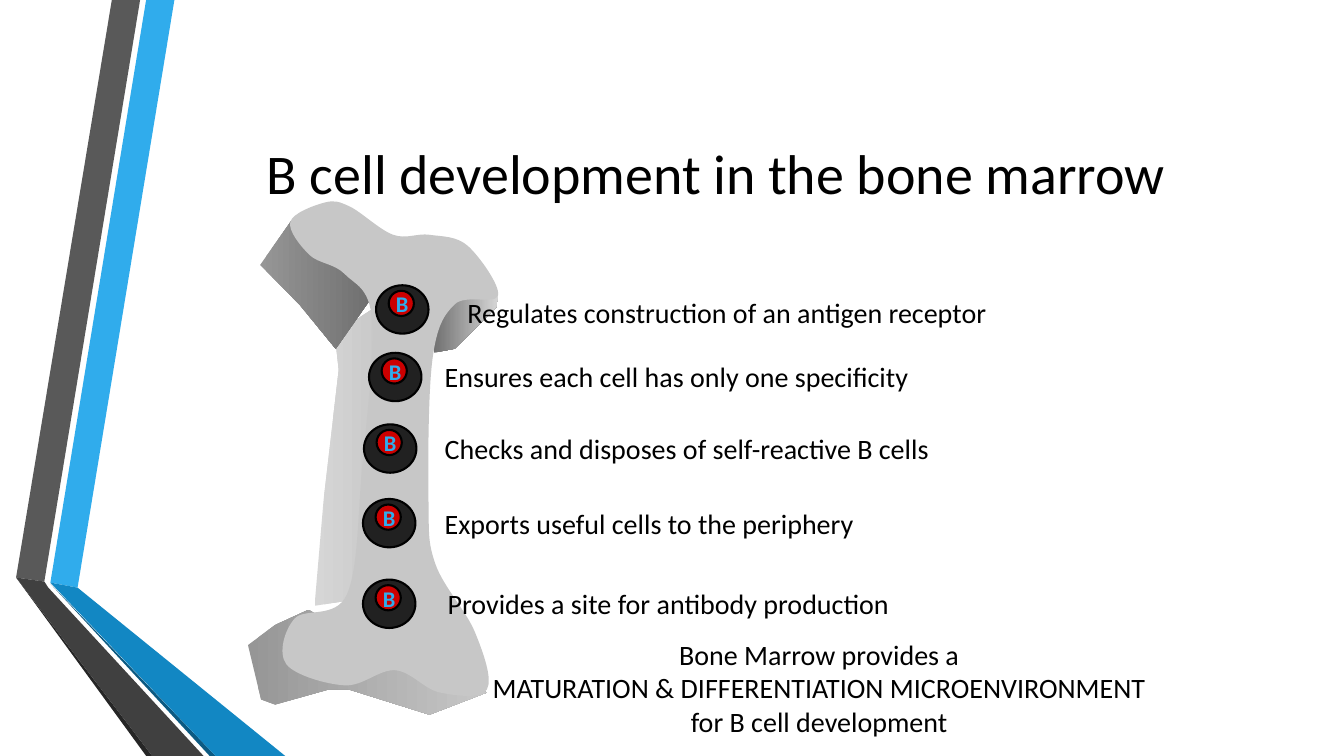
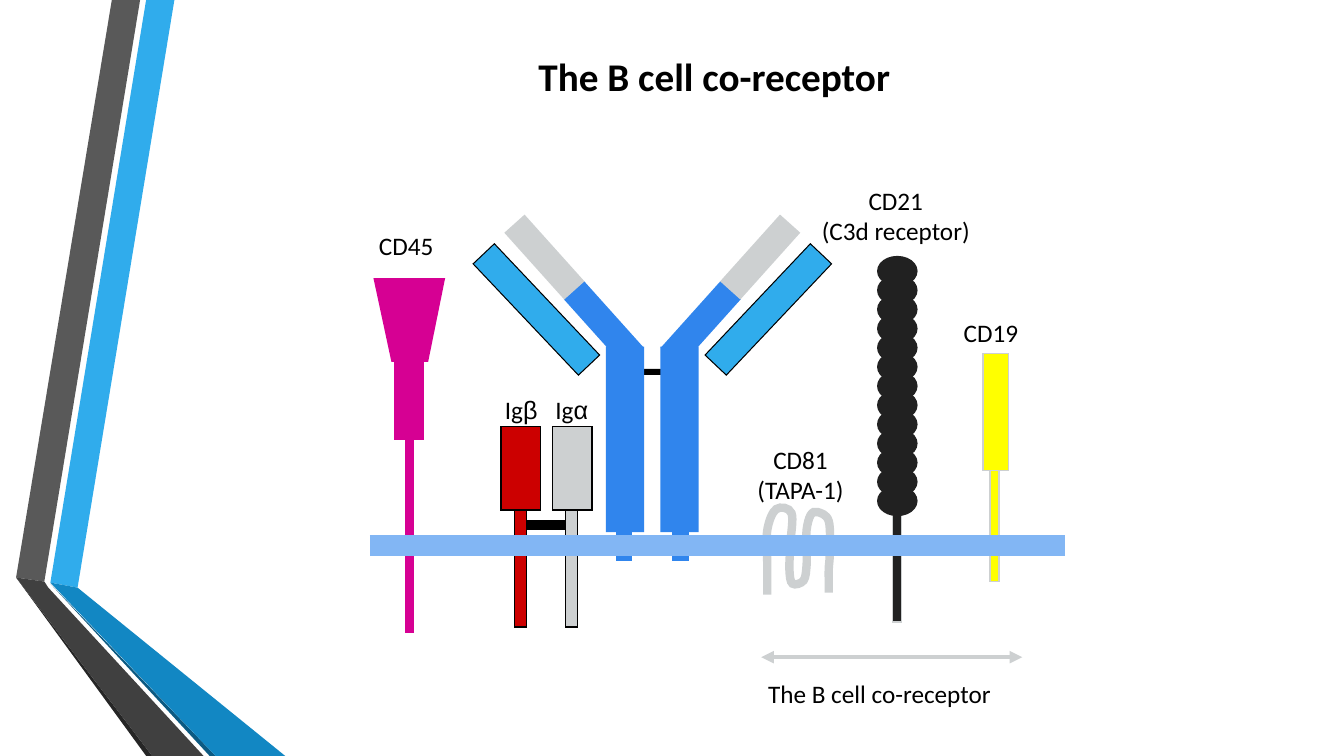
from lxml.etree import SubElement
from pptx import Presentation
from pptx.dml.color import RGBColor
from pptx.enum.shapes import MSO_CONNECTOR, MSO_SHAPE
from pptx.enum.text import MSO_ANCHOR, PP_ALIGN
from pptx.oxml.ns import qn
from pptx.util import Inches, Pt

RECTANGLE = MSO_SHAPE.RECTANGLE
OVAL = MSO_SHAPE.OVAL
STRAIGHT = MSO_CONNECTOR.STRAIGHT
LEFT = PP_ALIGN.LEFT
CENTER = PP_ALIGN.CENTER
MIDDLE = MSO_ANCHOR.MIDDLE
TOP = MSO_ANCHOR.TOP
FONT = "Calibri"
TITLE_ONLY = 5
TIGHT = (0.02, 0.04)

COLORS = {
    "black": "000000", "sky": "30ACEC", "slate": "595959",
    "coal": "262626", "navy": "0C5A82", "ocean": "1287C3",
    "graphite": "404040", "ink": "212121", "red": "CC0000",
    "silver": "CDD0D1", "magenta": "D60093", "yellow": "FFFF00",
    "blue": "3085ED", "membrane": "82B6F4", "bone": "C7C7C7",
    "bone_dark": "707070", "bone_mid": "969696", "bone_light": "D6D6D6",
}

RIBBONS = [
    ("sky", [(0.5, 5.78), (0.77, 5.83), (1.73, 0), (1.45, 0)]),
    ("slate", [(1.39, 0), (1.11, 0), (0.16, 5.73), (0.44, 5.77)]),
    ("coal", [(0.16, 5.73), (1.45, 7.5), (1.51, 7.5)]),
    ("navy", [(0.5, 5.79), (2.08, 7.5), (2.14, 7.5)]),
    ("ocean", [(0.5, 5.78), (2.14, 7.5), (2.83, 7.5), (0.77, 5.83)]),
    ("graphite", [(2.02, 7.5), (0.48, 5.83), (0.44, 5.77),
                  (0.16, 5.73), (1.51, 7.5)]),
]

BONE_SIDES = [
    ("bone_light", "bone", [
        (0.86, 1.3), (0.9, 1.66), (0.75, 2.95), (0.66, 4), (1.3, 3.9),
        (1.4, 0.95)]),
    ("bone_mid", "bone_dark", [
        (0.43, 0.18), (0.12, 0.62), (0.51, 1.01), (0.87, 1.45),
        (1.22, 0.95), (1.2, 0.7)]),
    ("bone_dark", "bone_light", [
        (2.48, 0.92), (2.46, 1.04), (2.05, 1.45), (1.84, 1.49), (1.86, 1)]),
    ("bone_mid", "bone", [
        (0.6, 4.04), (0.27, 4.19), (0, 4.39), (0.13, 4.93), (0.27, 4.98),
        (0.8, 4.83), (1, 4.83), (1.8, 5.08), (2.37, 4.86), (1.4, 4.5)]),
]

BONE_FRONT = [
    (0.42, 0.19), (0.76, 0), (1.01, 0.04), (1.44, 0.32), (1.8, 0.32),
    (2.18, 0.43), (2.48, 0.92), (2.05, 1.01), (1.83, 1.55), (1.79, 2.95),
    (1.86, 3.59), (2.25, 4.26), (2.37, 4.83), (1.9, 4.86), (1.46, 4.64),
    (0.96, 4.79), (0.38, 4.58), (0.46, 4.13), (0.98, 3.89), (1.13, 2.65),
    (1.23, 1.16), (0.96, 0.71), (0.61, 0.52),
]

TAPA_LOOP = [
    (0.01, 0.88), (0.01, 0.59), (0.01, 0.24), (0.1, 0.03), (0.25, 0.07),
    (0.24, 0.37), (0.23, 0.63), (0.26, 0.77), (0.37, 0.74), (0.4, 0.59),
    (0.4, 0.43), (0.4, 0.24), (0.44, 0.09), (0.51, 0.06), (0.62, 0.15),
    (0.63, 0.47), (0.62, 0.62), (0.62, 0.76), (0.62, 0.86),
]

MARROW_ROLES = [
    ((3.99, 3.07), (4.39, 2.89, 5.64, 0.41), CENTER,
     "Regulates construction of an antigen receptor"),
    ((3.92, 3.74), (4.39, 3.53, 5.16, 0.41), LEFT,
     "Ensures each cell has only one specificity"),
    ((3.87, 4.45), (4.39, 4.24, 5.56, 0.41), LEFT,
     "Checks and disposes of self-reactive B cells"),
    ((3.86, 5.19), (4.39, 4.98, 5.97, 0.41), LEFT,
     "Exports useful cells to the periphery"),
    ((3.86, 5.99), (4.42, 5.78, 5.39, 0.41), LEFT,
     "Provides a site for antibody production"),
]


def rgb(name):
    return RGBColor.from_string(COLORS[name])


def paint(shape, fill=None, line=None, width=1):
    shape.shadow.inherit = False
    if fill:
        shape.fill.solid()
        shape.fill.fore_color.rgb = rgb(fill)
    else:
        shape.fill.background()
    if line:
        shape.line.color.rgb = rgb(line)
        shape.line.width = Pt(width)
        SubElement(shape.element.spPr.find(qn("a:ln")), qn("a:miter"), lim="800000")
    else:
        shape.line.fill.background()


def block(page, kind, box, fill, line=None, width=1, rotation=0):
    shape = page.shapes.add_shape(kind, *map(Inches, box))
    shape.rotation = rotation
    paint(shape, fill, line, width)
    return shape


def centered(page, kind, center, size, *style):
    (x, y), (width, height) = center, size
    return block(page, kind, (x - width / 2, y - height / 2, width, height), *style)


def outline(page, left, top, points, closed=True):
    dots = [(Inches(left + x), Inches(top + y)) for x, y in points]
    builder = page.shapes.build_freeform(*dots[0], scale=1.0)
    builder.add_line_segments(dots[1:], close=closed)
    return builder.convert_to_shape()


def curve(page, left, top, points, closed=True):
    if closed:
        points = points + points[:1]
    shape = outline(page, left, top, points, closed)
    drawing = shape.element.spPr.find(".//" + qn("a:path"))
    dots = [(int(dot.get("x")), int(dot.get("y"))) for dot in drawing.iter(qn("a:pt"))]
    before, after = (dots[-2], dots[1]) if closed else (dots[0], dots[-1])
    knots = [before, *dots, after]
    segments = drawing.findall(qn("a:lnTo"))
    for segment, a, b, c, d in zip(segments, knots, knots[1:], knots[2:], knots[3:]):
        leave = [q + (r - p) / 6 for p, q, r in zip(a, b, c)]
        arrive = [r - (s - q) / 6 for q, r, s in zip(b, c, d)]
        segment.clear()
        segment.tag = qn("a:cubicBezTo")
        for x, y in (leave, arrive, c):
            SubElement(segment, qn("a:pt"), x=str(round(x)), y=str(round(y)))
    return shape


def line(page, start, end, color, width, arrows=False):
    connector = page.shapes.add_connector(STRAIGHT, *map(Inches, start + end))
    connector.line.color.rgb = rgb(color)
    connector.line.width = Pt(width)
    properties = connector.element.spPr
    if arrows:
        stroke = properties.find(qn("a:ln"))
        for tag in ("a:headEnd", "a:tailEnd"):
            SubElement(stroke, qn(tag), type="triangle")
    SubElement(properties, qn("a:effectLst"))


def write(frame, text, size, align=LEFT, bold=False, color="black"):
    frame.text = text
    for para in frame.paragraphs:
        para.alignment = align
        for span in para.runs:
            span.font.name = FONT
            span.font.size = Pt(size)
            span.font.bold = bold
            span.font.color.rgb = rgb(color)


def label(page, box, text, size=18, align=LEFT, insets=(0.1, 0.05), **style):
    frame = page.shapes.add_textbox(*map(Inches, box)).text_frame
    frame.word_wrap = True
    frame.margin_left = frame.margin_right = Inches(insets[0])
    frame.margin_top = frame.margin_bottom = Inches(insets[1])
    frame.vertical_anchor = TOP
    write(frame, text, size, align, **style)
    return frame


def add_page(deck, title, box, size, align, bold=False):
    page = deck.slides.add_slide(deck.slide_layouts[TITLE_ONLY])
    heading = page.shapes.title
    heading.left, heading.top, heading.width, heading.height = map(Inches, box)
    heading.text_frame.vertical_anchor = MIDDLE
    write(heading.text_frame, title, size, align, bold)
    return page


def move_ribbons_to_master(deck, page):
    tree = deck.slide_master.shapes.element
    for index, (color, points) in enumerate(RIBBONS):
        ribbon = outline(page, 0, 0, points)
        paint(ribbon, color)
        ribbon.element.nvSpPr.cNvPr.set("id", str(101 + index))
        tree.insert(2 + index, ribbon.element)


def draw_bone(page, left, top):
    for start, end, points in BONE_SIDES:
        side = outline(page, left, top, points)
        paint(side, start)
        side.fill.gradient()
        side.fill.gradient_angle = 0
        for stop, color in zip(side.fill.gradient_stops, (start, end)):
            stop.color.rgb = rgb(color)
    paint(curve(page, left, top, BONE_FRONT), "bone")


def draw_b_cell(page, x, y):
    centered(page, OVAL, (x, y), (0.52, 0.48), "ink", "black", 1.5)
    centered(page, OVAL, (x - 0.01, y - 0.06), (0.25, 0.25), "red", "black", 1.5)
    label(page, (x - 0.1, y - 0.23, 0.2, 0.35), "B", 16, CENTER, TIGHT,
          bold=True, color="sky")


def draw_tapa(page, left, top):
    paint(curve(page, left, top, TAPA_LOOP, False), line="silver", width=6)
    label(page, (left - 0.28, top - 0.66, 1.24, 0.7), "CD81\n(TAPA-1)", align=CENTER)


def draw_cd21(page, center, top):
    block(page, RECTANGLE, (center - 0.05, top + 2.45, 0.09, 1.16),
          "ink", "silver")
    for index in range(13):
        block(page, OVAL, (center - 0.18, top + 0.19 * index, 0.36, 0.26),
              "ink", "ink", 3)
    label(page, (center - 0.92, top - 0.77, 1.81, 0.7),
          "CD21\n(C3d receptor)", align=CENTER)


def draw_cd19(page, left, top):
    block(page, RECTANGLE, (left + 0.07, top + 1.1, 0.09, 1.16), "yellow", "silver")
    block(page, RECTANGLE, (left, top, 0.25, 1.16), "yellow", "silver")
    label(page, (left - 0.29, top - 0.41, 0.84, 0.4), "CD19")


def draw_cd45(page, left, top):
    head = outline(page, left, top, [(0, 0), (0.17, 0.79), (0.5, 0.79), (0.66, 0)])
    paint(head, "magenta", "magenta", 3)
    block(page, RECTANGLE, (left + 0.2, top + 0.79, 0.26, 0.77),
          "magenta", "magenta", 3)
    line(page, (left + 0.33, top + 1.57), (left + 0.33, top + 3.5), "magenta", 6)
    label(page, (left - 0.07, top - 0.54, 0.84, 0.4), "CD45")


def draw_ig_pair(page, left, top):
    block(page, RECTANGLE, (left + 0.13, top + 0.94, 0.62, 0.08), "black", "black")
    for offset, color, letter, shift in ((0, "red", "β", -0.06),
                                         (0.51, "silver", "α", -0.07)):
        x = left + offset
        block(page, RECTANGLE, (x + 0.13, top + 0.81, 0.12, 1.18), color, "black")
        block(page, RECTANGLE, (x, top, 0.39, 0.83), color, "black")
        frame = label(page, (x + shift, top - 0.37, 0.6, 0.4), "Ig")
        greek = frame.paragraphs[0].add_run()
        greek.text = letter
        greek.font.name = "Arial"
        greek.font.size = Pt(18)
        greek.font.color.rgb = rgb("black")


def draw_antibody(page, axis, top):
    block(page, RECTANGLE, (axis - 0.1, top + 1.55, 0.21, 0.06), "black")
    parts = [
        (0.28, 3.26, 0.13, 0.36, 0, ("blue", "blue", 2.25)),
        (0.48, 1.1, 0.27, 0.89, 41.9, ("blue", None, 1)),
        (0.27, 2.25, 0.38, 1.84, 0, ("blue", None, 1)),
        (1.07, 0.44, 0.27, 0.89, 41.9, ("silver", None, 1)),
        (1.15, 0.96, 0.29, 1.52, 43.4, ("sky", "black", 0.75)),
    ]
    for side in (-1, 1):
        for offset, drop, width, height, tilt, style in parts:
            centered(page, RECTANGLE, (axis + side * offset, top + drop),
                     (width, height), *style, side * tilt)


def draw_legend(page, left, top):
    line(page, (left, top), (left + 2.59, top), "silver", 3, arrows=True)
    label(page, (left - 0.03, top + 0.16, 2.65, 0.4), "The B cell co-receptor")


def marrow_page(deck):
    page = add_page(deck, "B cell development in the bone marrow",
                    (1.62, 0.75, 10.96, 1.92), 40, CENTER)
    draw_bone(page, 2.46, 2.01)
    for cell, box, align, text in MARROW_ROLES:
        draw_b_cell(page, *cell)
        label(page, box, text, 20, align, TIGHT)
    label(page, (4.14, 6.28, 7.97, 1.08),
          "Bone Marrow provides a\nMATURATION & DIFFERENTIATION MICROENVIRONMENT\n"
          "for B cell development", 20, CENTER, TIGHT)
    return page


def receptor_page(deck):
    page = add_page(deck, "The B cell co-receptor", (5.24, 0.47, 4.29, 0.57),
                    28, LEFT, True)
    draw_tapa(page, 7.6, 5.02)
    draw_cd21(page, 8.9, 2.56)
    draw_cd19(page, 9.75, 3.51)
    draw_cd45(page, 3.73, 2.78)
    draw_ig_pair(page, 4.97, 4.23)
    draw_antibody(page, 6.47, 2.11)
    line(page, (3.67, 5.41), (10.56, 5.41), "membrane", 15)
    draw_legend(page, 7.55, 6.52)


def main():
    deck = Presentation()
    deck.slide_width, deck.slide_height = Inches(13.33), Inches(7.5)
    move_ribbons_to_master(deck, marrow_page(deck))
    receptor_page(deck)
    deck.save("out.pptx")


if __name__ == "__main__":
    main()
